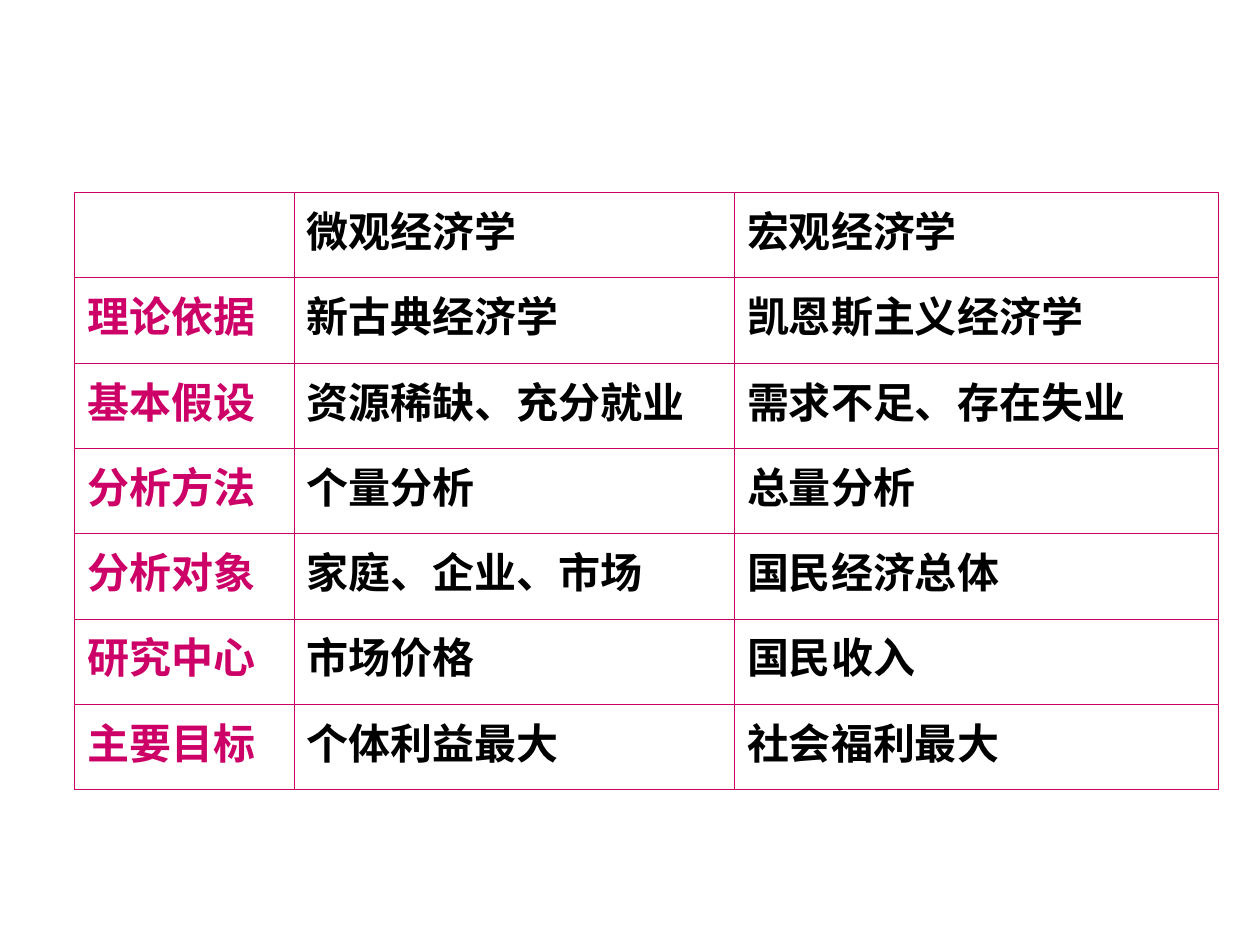
"""Build a slide with a table that compares micro- and macroeconomics."""
from lxml import etree
from pptx import Presentation
from pptx import util as u
from pptx.dml import color
from pptx.oxml import ns

HUES = {"pink": "CC0066", "ink": "000000"}
ROWS = [
    ("", "微观经济学", "宏观经济学"),
    ("理论依据", "新古典经济学", "凯恩斯主义经济学"),
    ("基本假设", "资源稀缺、充分就业", "需求不足、存在失业"),
    ("分析方法", "个量分析", "总量分析"),
    ("分析对象", "家庭、企业、市场", "国民经济总体"),
    ("研究中心", "市场价格", "国民收入"),
    ("主要目标", "个体利益最大", "社会福利最大"),
]
WIDTHS = [125.6, 251.5, 276.7]
HIGH = 48.75
THIN, THICK = 0.45, 1.08


def edge(cell, side, spot, size):
    line = etree.Element(ns.qn(f"a:ln{side}"), w=str(u.Pt(size)))
    fill = etree.SubElement(line, ns.qn("a:solidFill"))
    etree.SubElement(fill, ns.qn("a:srgbClr"), val=HUES["pink"])
    cell._tc.get_or_add_tcPr().insert(spot, line)


deck = Presentation()
deck.slide_width, deck.slide_height = u.Pt(720), u.Pt(540)
slide = deck.slides.add_slide(deck.slide_layouts[6])

frame = slide.shapes.add_table(
    len(ROWS), len(WIDTHS), u.Pt(42.6), u.Pt(110),
    u.Pt(sum(WIDTHS)), u.Pt(HIGH * len(ROWS)))
table = frame.table
table.first_row = table.horz_banding = False
for col, width in zip(table.columns, WIDTHS):
    col.width = u.Pt(width)

for r, words in enumerate(ROWS):
    table.rows[r].height = u.Pt(HIGH)
    for c, word in enumerate(words):
        cell = table.cell(r, c)
        cell.fill.background()
        outer = {"L": c == 0, "R": c == len(WIDTHS) - 1,
                 "T": r == 0, "B": r == len(ROWS) - 1}
        for spot, (side, rim) in enumerate(outer.items()):
            edge(cell, side, spot, THICK if rim else THIN)
        if word:
            run = cell.text_frame.paragraphs[0].add_run()
            run.text = word
            run.font.name, run.font.size, run.font.bold = "Arial", u.Pt(24), True
            hue = HUES["ink" if c else "pink"]
            run.font.color.rgb = color.RGBColor.from_string(hue)

deck.save("out.pptx")
